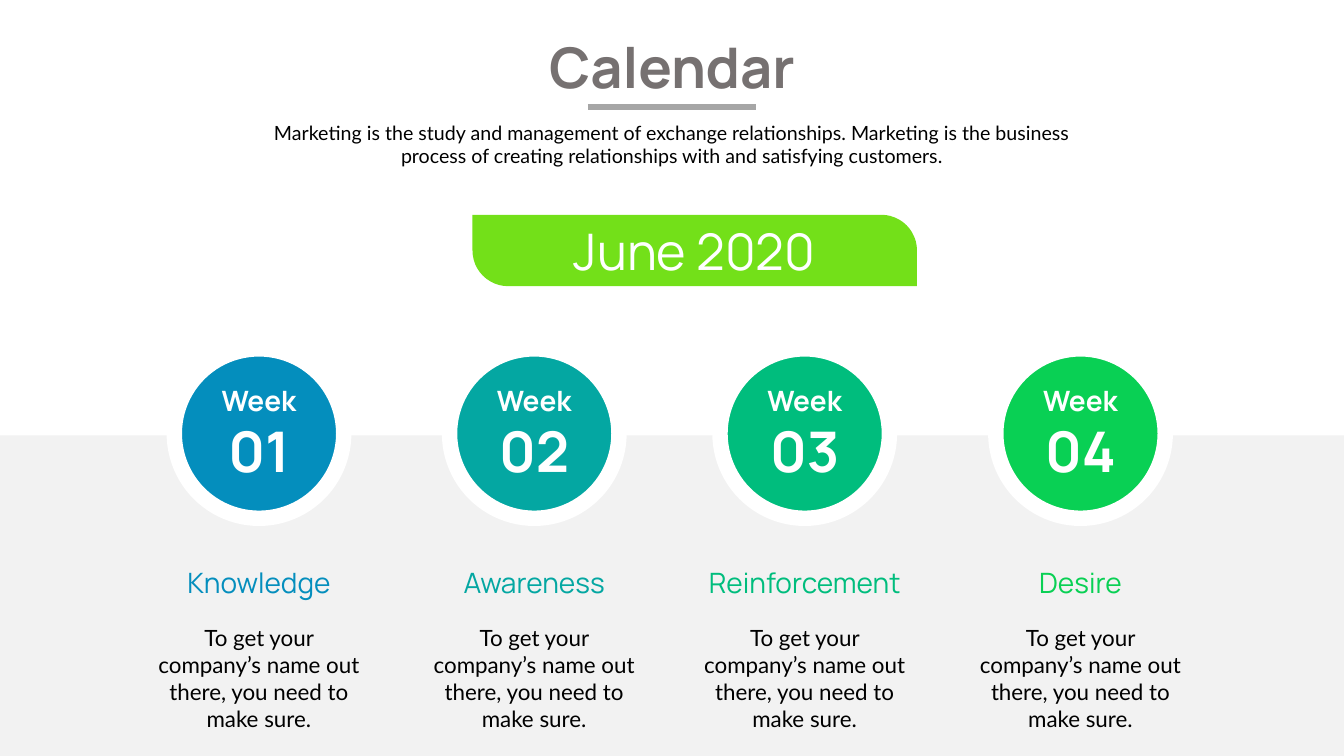
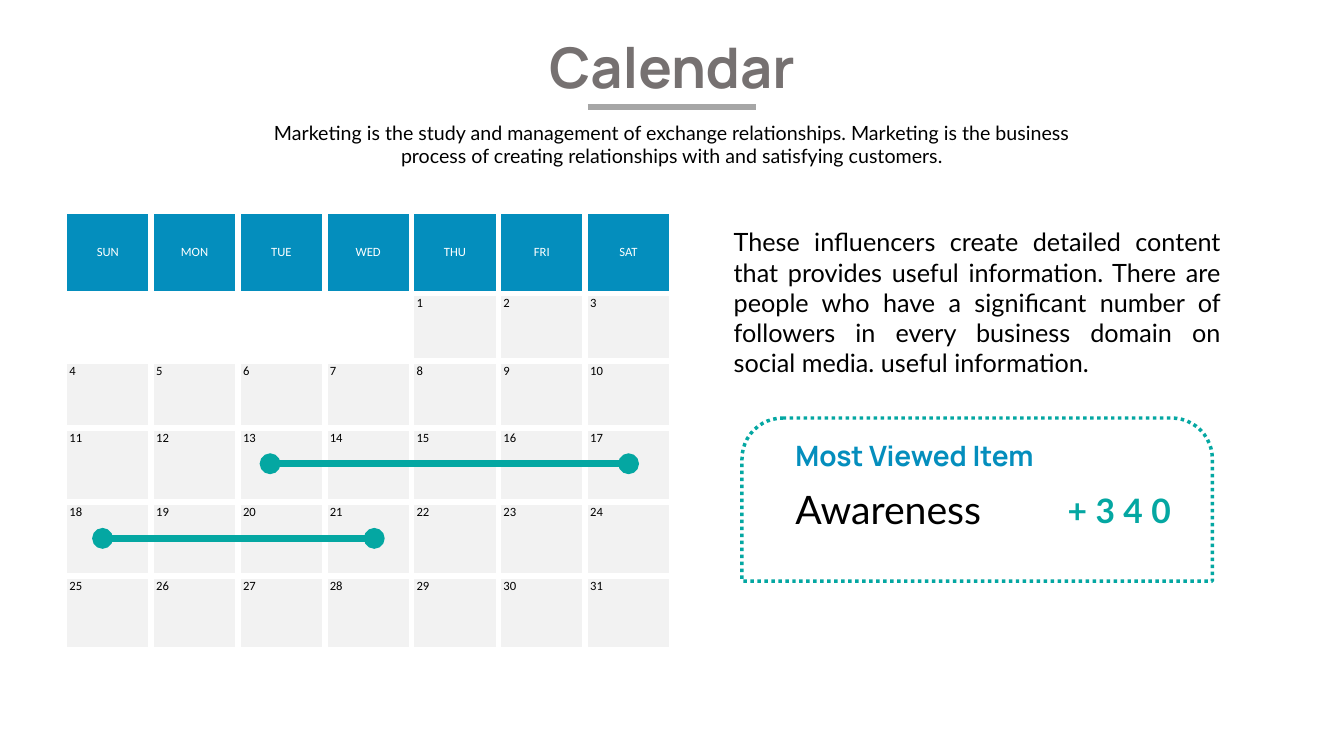
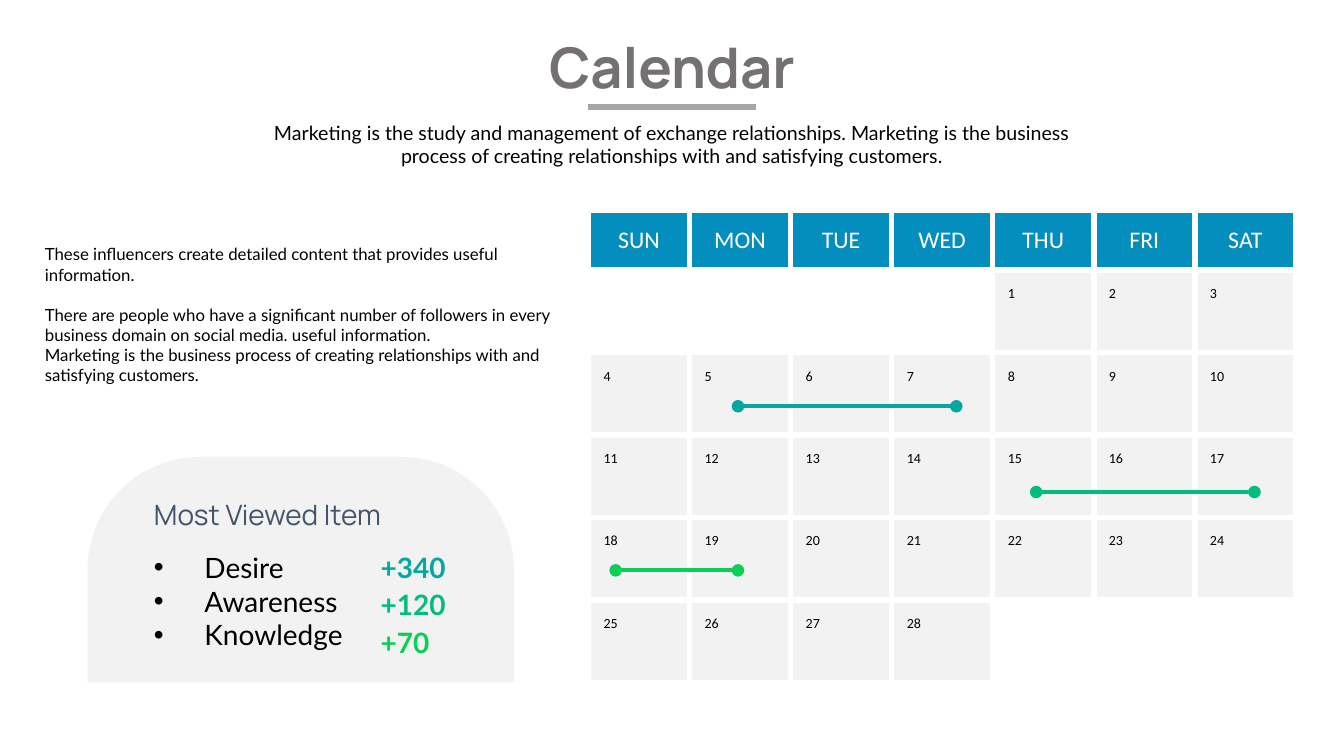
import pptx
import pptx.util
import pptx.dml.color
import pptx.enum.dml
import pptx.enum.shapes
import pptx.enum.text
import pptx.oxml
import pptx.oxml.ns
from dataclasses import dataclass
from pptx.util import Pt

SHAPE = pptx.enum.shapes.MSO_SHAPE
ALIGN = pptx.enum.text.PP_ALIGN
MIDDLE = pptx.enum.text.MSO_ANCHOR.MIDDLE


@dataclass(frozen=True)
class Theme:
    heading: str = "Manrope"
    body: str = "Lato"
    table: str = "Calibri"
    black: str = "000000"
    white: str = "FFFFFF"
    title: str = "767171"
    rule: str = "A6A6A6"
    panel: str = "F2F2F2"
    slate: str = "44546A"
    blue: str = "048EBD"
    teal: str = "04A7A2"
    jade: str = "00BD7D"
    green: str = "09D054"
    lime: str = "73E019"
    title_size: float = 40
    ribbon_size: float = 36
    item_size: float = 28
    value_size: float = 24
    label_size: float = 20
    lead_size: float = 18
    text_size: float = 16
    intro_size: float = 14
    note_size: float = 12


T = Theme()
INTRO = ("Marketing is the study and management of exchange relationships. "
         "Marketing is the business process of creating relationships with "
         "and satisfying customers.")
WEEK_TEXT = "To get your company’s name out there, you need to make sure."
WEEKDAYS = ["SUN", "MON", "TUE", "WED", "THU", "FRI", "SAT"]


def rgb(color):
    return pptx.dml.color.RGBColor.from_string(color)


def xml(tag, body="", attrs=""):
    """Return one element of the drawing namespace."""
    return pptx.oxml.parse_xml(
        f'<a:{tag} {pptx.oxml.ns.nsdecls("a")} {attrs}>{body}</a:{tag}>')


def add_run(p, text, size, color, font=T.body, bold=False):
    r = p.add_run()
    r.text = text
    r.font.size = Pt(size)
    r.font.name = font
    r.font.bold = bold
    r.font.color.rgb = rgb(color)
    return r


def add_text(s, box, lines, size, color=T.black, font=T.body, bold=False,
             align=ALIGN.LEFT, wrap=True):
    """Add a text box with one paragraph per line; return its paragraphs."""
    tf = s.shapes.add_textbox(*map(Pt, box)).text_frame
    tf.word_wrap = wrap
    for i, line in enumerate(lines):
        p = tf.paragraphs[0] if i == 0 else tf.add_paragraph()
        p.alignment = align
        add_run(p, line, size, color, font, bold)
    return tf.paragraphs


def add_box(s, kind, box, fill=None, line=None, width=0, adjust=()):
    sp = s.shapes.add_shape(kind, *map(Pt, box))
    sp.shadow.inherit = False
    for i, value in enumerate(adjust):
        sp.adjustments[i] = value
    if fill:
        sp.fill.solid()
        sp.fill.fore_color.rgb = rgb(fill)
    else:
        sp.fill.background()
    if line:
        sp.line.color.rgb = rgb(line)
        sp.line.width = Pt(width)
    else:
        sp.line.fill.background()
    return sp


def add_line(s, x1, x2, y, color, width, dots=False):
    """Add a horizontal line, with a dot at each end if wanted."""
    line = s.shapes.add_connector(
        pptx.enum.shapes.MSO_CONNECTOR.STRAIGHT, Pt(x1), Pt(y), Pt(x2), Pt(y))
    line.line.color.rgb = rgb(color)
    line.line.width = Pt(width)
    if dots:
        for tag in ("headEnd", "tailEnd"):
            line.line._get_or_add_ln().append(xml(tag, attrs='type="oval"'))
    line._element.spPr.append(xml("effectLst"))


def new_slide(prs):
    """Add a blank slide with the shared heading."""
    s = prs.slides.add_slide(prs.slide_layouts[6])
    add_text(s, (376, 20, 208, 56), ["Calendar"], T.title_size, T.title,
             T.heading, True, ALIGN.CENTER, wrap=False)
    add_text(s, (170.5, 82.8, 619, 41), [INTRO], T.intro_size,
             align=ALIGN.CENTER)
    add_line(s, 420, 540, 76.3, T.rule, 4.25)
    return s


def add_ribbon(s, box, text):
    sp = add_box(s, SHAPE.ROUND_2_DIAG_RECTANGLE, box, T.lime, adjust=(0, 0.5))
    tf = sp.text_frame
    tf.margin_top = tf.margin_bottom = 0
    tf.vertical_anchor = MIDDLE
    p = tf.paragraphs[0]
    p.alignment = ALIGN.CENTER
    add_run(p, text, T.ribbon_size, T.white, T.heading)


def add_week(s, center, top, number, name, color):
    """Add a numbered circle with its name and text below."""
    size = 121
    sp = add_box(s, SHAPE.OVAL, (center - size / 2, top, size, size),
                 color, T.white, 11)
    tf = sp.text_frame
    tf.word_wrap = True
    tf.vertical_anchor = MIDDLE
    p = tf.paragraphs[0]
    p.alignment = ALIGN.CENTER
    add_run(p, "Week ", T.label_size, T.white, T.heading, True)
    add_run(p, number, T.title_size, T.white, T.heading, True)
    add_text(s, (center - 107.5, top + 151, 215, 32), [name], T.label_size,
             color, T.heading, align=ALIGN.CENTER)
    add_text(s, (center - 79, top + 193, 158, 85), [WEEK_TEXT], T.text_size,
             align=ALIGN.CENTER)


def fill_cell(cell, text, fill, size, color, margins, header):
    tcPr = cell._tc.get_or_add_tcPr()
    white = f'<a:solidFill><a:srgbClr val="{T.white}"/></a:solidFill>'
    for side in ("lnL", "lnR", "lnT", "lnB"):
        tcPr.append(xml(side, white, f'w="{Pt(4.5)}"'))
    if not text:
        cell.fill.background()
        return
    cell.fill.solid()
    cell.fill.fore_color.rgb = rgb(fill)
    cell.margin_left = cell.margin_right = Pt(margins[0])
    cell.margin_top = cell.margin_bottom = Pt(margins[1])
    p = cell.text_frame.paragraphs[0]
    if header:
        cell.vertical_anchor = MIDDLE
        p.alignment = ALIGN.CENTER
    add_run(p, text, size, color, T.table)


def add_calendar(s, left, top, col_width, heights, days, head, body):
    """Add a month that starts on a Thursday; head and body are (size, margins)."""
    table = s.shapes.add_table(len(heights), 7, Pt(left), Pt(top),
                               Pt(7 * col_width), Pt(sum(heights))).table
    table.first_row = table.horz_banding = False
    for col in table.columns:
        col.width = Pt(col_width)
    for row, height in enumerate(heights):
        table.rows[row].height = Pt(height)
        for col, weekday in enumerate(WEEKDAYS):
            cell = table.cell(row, col)
            if row == 0:
                fill_cell(cell, weekday, T.blue, head[0], T.white, head[1], True)
            else:
                day = 7 * (row - 1) + col - 3
                text = str(day) if 1 <= day <= days else ""
                fill_cell(cell, text, T.panel, body[0], T.black, body[1], False)


def add_spans(s, left, top, col_width, heights, width, spans):
    """Draw spans given as start and end in columns, row position and colour."""
    for start, end, position, color in spans:
        row = int(position)
        y = top + sum(heights[:row]) + (position - row) * heights[row]
        add_line(s, left + start * col_width, left + end * col_width, y,
                 color, width, dots=True)


def add_top_item(s, left, top):
    """Add the dotted frame with the most viewed item."""
    sp = add_box(s, SHAPE.ROUND_2_SAME_RECTANGLE, (left, top, 336, 116.5),
                 line=T.teal, width=2.5, adjust=(0.25, 0))
    sp.line.dash_style = pptx.enum.dml.MSO_LINE.ROUND_DOT
    add_text(s, (left + 31, top + 11, 245, 32), ["Most Viewed Item"],
             T.label_size, T.blue, T.heading, True)
    add_text(s, (left + 31, top + 44.7, 191, 41), ["Awareness"], T.item_size)
    value = add_text(s, (left + 222, top + 47.5, 95, 36), ["+340"],
                     T.value_size, T.teal, bold=True, align=ALIGN.CENTER,
                     wrap=False)
    value[0].runs[0].font._element.set("spc", "600")


def add_ranking(s, left, top):
    """Add the grey panel with the most viewed items."""
    add_box(s, SHAPE.ROUND_2_SAME_RECTANGLE, (left, top, 304.5, 161),
            T.panel, adjust=(0.5, 0))
    add_text(s, (left + 40.3, top + 25.2, 212, 32), ["Most Viewed Item"],
             T.label_size, T.slate, T.heading)
    items = add_text(s, (left + 40.3, top + 63.3, 212, 80),
                     ["Desire", "Awareness", "Knowledge"], T.label_size)
    for p in items:
        pPr = p._p.get_or_add_pPr()
        pPr.set("marL", str(Pt(36)))
        pPr.set("indent", str(-Pt(36)))
        pPr.append(xml("buFont", attrs='typeface="Arial"'))
        pPr.append(xml("buChar", attrs='char="•"'))
    values = [("+340", T.teal), ("+120", T.jade), ("+70", T.green)]
    for i, (value, color) in enumerate(values):
        add_text(s, (left + 202.3, top + 63.3 + 26.7 * i, 61, 32), [value],
                 T.label_size, color, bold=True)


def weeks_slide(prs):
    s = new_slide(prs)
    add_box(s, SHAPE.RECTANGLE, (0, 311, 960, 229), T.panel)
    add_ribbon(s, (337.5, 153.4, 317.5, 51), "June 2020")
    weeks = [(185, "Knowledge", T.blue), (381.6, "Awareness", T.teal),
             (574.8, "Reinforcement", T.jade), (771.8, "Desire", T.green)]
    for i, (center, name, color) in enumerate(weeks, 1):
        add_week(s, center, 249.2, f"{i:02}", name, color)


def month_slide(prs):
    s = new_slide(prs)
    grid = (46, 151.2, 62, [58.3, 48.2, 48.2, 52.8, 52.8, 52.8])
    margins = (3.6, 2)
    add_calendar(s, *grid, 31, (9, margins), (9, margins))
    add_spans(s, *grid, 5, [(2.37, 6.5, 3.48, T.teal),
                            (0.44, 3.57, 4.49, T.teal)])
    add_text(s, (517, 158.4, 362, 117),
             ["These influencers create detailed content that provides useful "
              "information. There are people who have a significant number of "
              "followers in every business domain on social media. useful "
              "information."], T.lead_size, align=ALIGN.JUSTIFY)
    add_top_item(s, 530, 298.6)


def ranking_slide(prs):
    s = new_slide(prs)
    add_ranking(s, 62.6, 326.4)
    grid = (420.3, 149.8, 72.2, [43.2] + [58.9] * 5)
    add_calendar(s, *grid, 28, (17, (3.6, 1.6)), (10, (10.8, 10.8)))
    add_spans(s, *grid, 3, [(1.48, 3.64, 2.65, T.teal),
                            (0.27, 1.48, 4.64, T.green),
                            (4.43, 6.59, 3.69, T.jade)])
    notes = add_text(
        s, (25, 170.8, 379, 109),
        ["These influencers create detailed content that provides useful "
         "information.",
         "There are people who have a significant number of followers in "
         "every business domain on social media. useful information.",
         "Marketing is the business process of creating relationships with "
         "and satisfying customers."], T.note_size)
    notes[0].space_after = Pt(14.4)


def main():
    prs = pptx.Presentation()
    prs.slide_width, prs.slide_height = Pt(960), Pt(540)
    weeks_slide(prs)
    month_slide(prs)
    ranking_slide(prs)
    prs.save("out.pptx")


if __name__ == "__main__":
    main()
